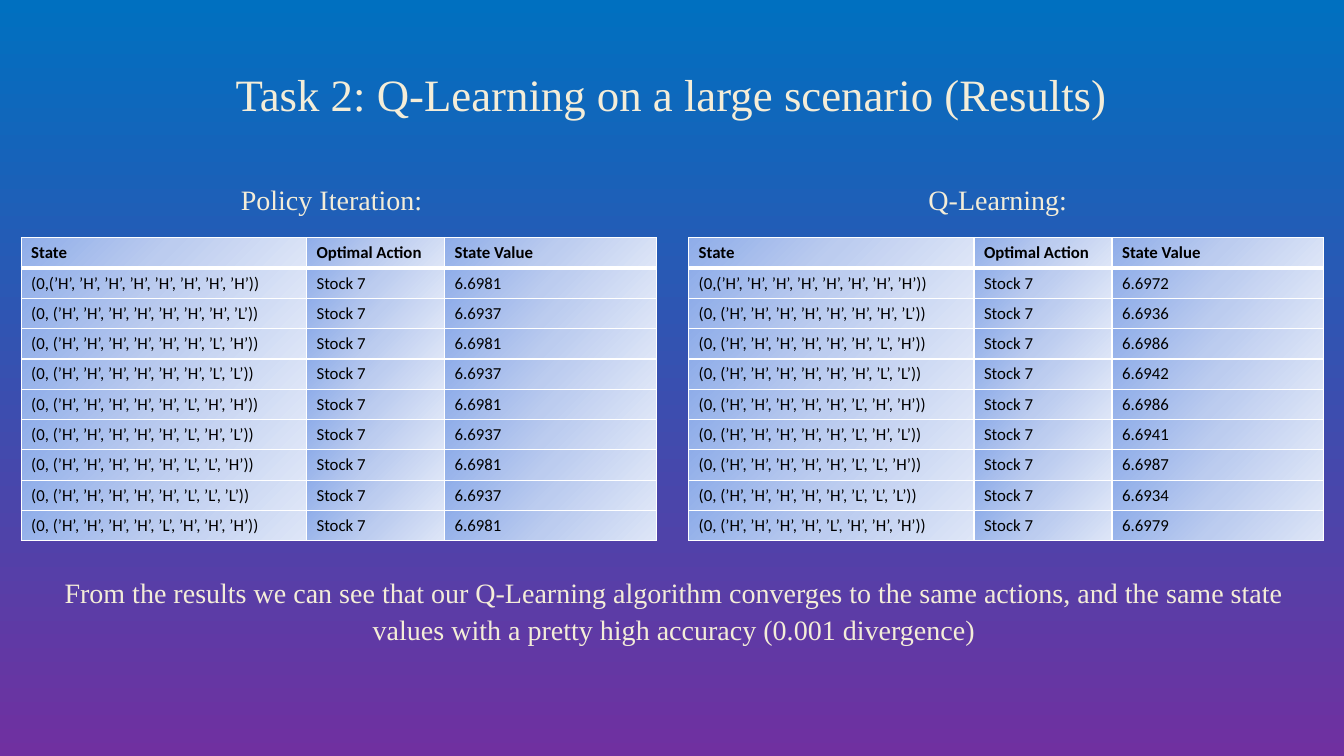
from dataclasses import dataclass
from itertools import islice, product

from pptx import Presentation
from pptx.dml.color import RGBColor
from pptx.enum.text import MSO_ANCHOR, PP_ALIGN
from pptx.oxml import parse_xml
from pptx.oxml.ns import nsdecls, qn
from pptx.util import Inches, Pt

LEFT, CENTER = PP_ALIGN.LEFT, PP_ALIGN.CENTER
TOP = MSO_ANCHOR.TOP


@dataclass(frozen=True)
class Theme:
    background: tuple = ((0, "0070C0"), (100, "7030A0"))
    cell: tuple = ((0, "8FADE9"), (50, "BCCCEF"), (100, "DEE6F7"))
    light_text: str = "F4EDD8"
    cell_text: str = "000000"
    outline: str = "404040"
    border: str = "FFFFFF"
    text_font: str = "Times New Roman"
    table_font: str = "Calibri"
    title_size: int = 32
    body_size: int = 20
    cell_size: int = 12


THEME = Theme()

HEADERS = ("State", "Optimal Action", "State Value")
COLUMN_WIDTHS = (2.83, 1.37, 2.1)
ROW_HEIGHT = 0.3
ACTION = "Stock 7"
POLICY_VALUES = ("6.6981", "6.6937") * 4 + ("6.6981",)
LEARNING_VALUES = ("6.6972", "6.6936", "6.6986", "6.6942", "6.6986",
                   "6.6941", "6.6987", "6.6934", "6.6979")
CONCLUSION = ("From the results we can see that our Q-Learning algorithm converges "
              "to the same actions, and the same state values with a pretty high "
              "accuracy (0.001 divergence)")


def state_labels(count):
    """List the first states in counting order, with H before L."""
    labels = []
    for levels in islice(product("HL", repeat=8), count):
        gap = " " if labels else ""
        labels.append(f"(0,{gap}({', '.join(f'’{level}’' for level in levels)}))")
    return labels


def set_gradient(fill, element, stops, angle):
    """Give the fill found inside element its stops and clockwise angle."""
    fill.gradient()
    fill.gradient_angle = 360 - angle
    stop_list = element.find(".//" + qn("a:gsLst"))
    for stop in list(stop_list):
        stop_list.remove(stop)
    for position, color in stops:
        stop_list.append(parse_xml(
            f'<a:gs {nsdecls("a")} pos="{position * 1000}">'
            f'<a:srgbClr val="{color}"/></a:gs>'))


def write_text(text_frame, text, *, size, font, color, bold=False, align=LEFT,
               line_spacing=None, before=None, after=None, indent=0, outlined=False):
    paragraph = text_frame.paragraphs[0]
    paragraph.alignment = align
    paragraph.line_spacing = line_spacing
    if before is not None:
        paragraph.space_before = Pt(before)
    if after is not None:
        paragraph.space_after = Pt(after)
    if indent:
        paragraph._p.get_or_add_pPr().set("marL", str(Inches(indent)))
    run = paragraph.add_run()
    run.text = text
    run.font.size = Pt(size)
    run.font.name = font
    run.font.bold = bold
    run.font.color.rgb = RGBColor.from_string(color)
    if outlined:
        run._r.get_or_add_rPr().insert(0, parse_xml(
            f'<a:ln {nsdecls("a")} w="{Pt(0.75)}"><a:solidFill>'
            f'<a:srgbClr val="{THEME.outline}"><a:alpha val="10000"/></a:srgbClr>'
            '</a:solidFill></a:ln>'))


def add_text(slide, box, text, **text_format):
    shape = slide.shapes.add_textbox(*map(Inches, box))
    shape.text_frame.word_wrap = True
    shape.text_frame.vertical_anchor = TOP
    write_text(shape.text_frame, text, font=THEME.text_font,
               color=THEME.light_text, outlined=True, **text_format)


def add_title(slide, box, text):
    add_text(slide, box, text, size=THEME.title_size, align=CENTER, line_spacing=0.9)


def add_body(slide, box, text, align=LEFT):
    add_text(slide, box, text, size=THEME.body_size, align=align,
             line_spacing=1.1, before=4, after=6, indent=0.04)


def set_borders(cell, top, bottom):
    """Draw all four sides, with the given top and bottom widths in points."""
    properties = cell._tc.get_or_add_tcPr()
    for side, width in (("L", 1), ("R", 1), ("T", top), ("B", bottom)):
        properties.append(parse_xml(
            f'<a:ln{side} {nsdecls("a")} w="{Pt(width)}"><a:solidFill>'
            f'<a:srgbClr val="{THEME.border}"/></a:solidFill></a:ln{side}>'))


def add_results(slide, left, top, heading, heading_left, values):
    """Place a heading and the table of states below it."""
    add_body(slide, (left + heading_left, top, 2.21, 0.76), heading)
    rows = [HEADERS] + [(state, ACTION, value)
                        for state, value in zip(state_labels(len(values)), values)]
    box = (left, top + 0.63, sum(COLUMN_WIDTHS), ROW_HEIGHT * len(rows))
    table = slide.shapes.add_table(len(rows), len(HEADERS), *map(Inches, box)).table
    table.horz_banding = False
    for column, width in zip(table.columns, COLUMN_WIDTHS):
        column.width = Inches(width)
    for row_index, row in enumerate(rows):
        for column_index, text in enumerate(row):
            cell = table.cell(row_index, column_index)
            set_borders(cell, top=3 if row_index == 1 else 1,
                        bottom=3 if row_index == 0 else 1)
            set_gradient(cell.fill, cell._tc, THEME.cell, 45)
            write_text(cell.text_frame, text, size=THEME.cell_size,
                       font=THEME.table_font, color=THEME.cell_text,
                       bold=row_index == 0)


def build_results_slide(presentation):
    slide = presentation.slides.add_slide(presentation.slide_layouts[6])
    set_gradient(slide.background.fill, slide._element, THEME.background, 90)
    add_title(slide, (1, 0.67, 11.32, 0.67),
              "Task 2: Q-Learning on a large scenario (Results)")
    add_results(slide, 0.21, 1.73, "Policy Iteration:", 2.04, POLICY_VALUES)
    add_results(slide, 6.83, 1.73, "Q-Learning:", 2.24, LEARNING_VALUES)
    add_body(slide, (0.21, 5.63, 12.91, 1.36), CONCLUSION, align=CENTER)


def main():
    presentation = Presentation()
    presentation.slide_width = Inches(13.33)
    presentation.slide_height = Inches(7.5)
    build_results_slide(presentation)
    presentation.save("out.pptx")


if __name__ == "__main__":
    main()
